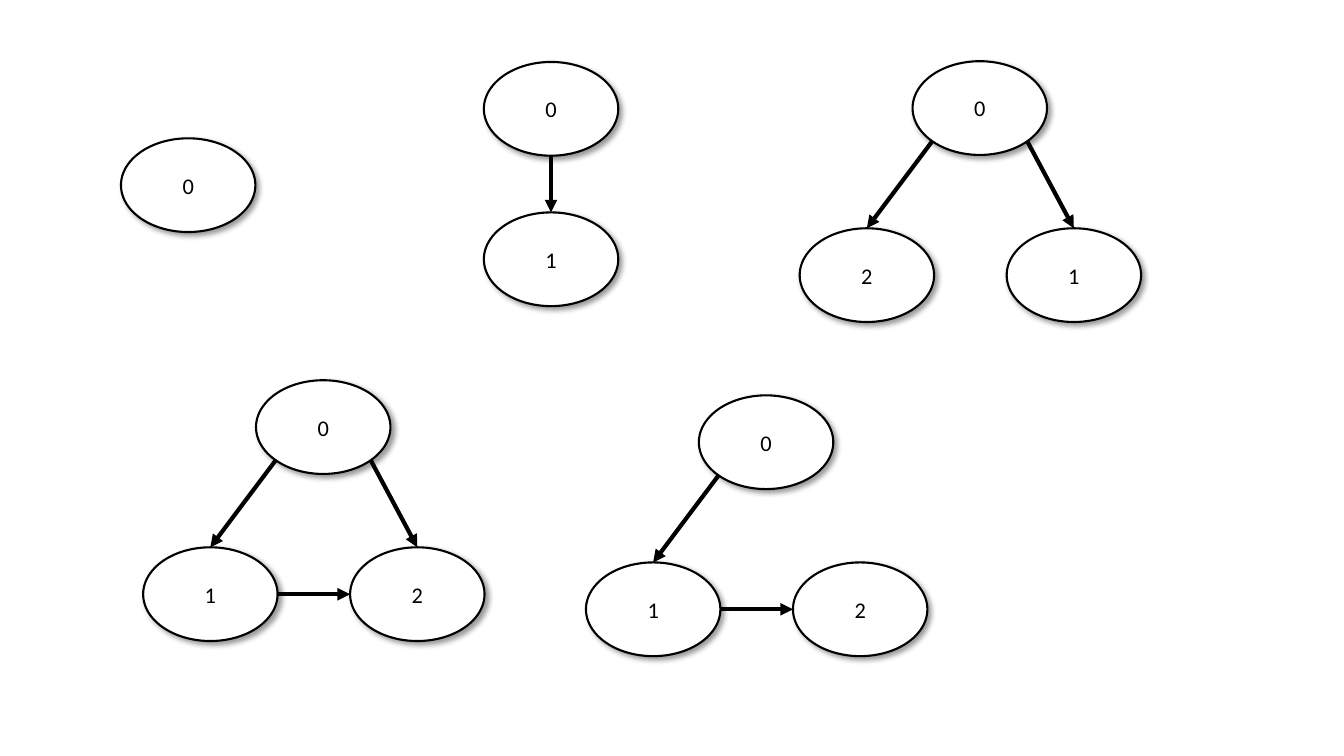
from dataclasses import dataclass
from math import sqrt

from lxml.etree import SubElement
from pptx import Presentation
from pptx.dml.color import RGBColor
from pptx.enum.shapes import MSO_CONNECTOR, MSO_SHAPE
from pptx.enum.text import MSO_ANCHOR, PP_ALIGN
from pptx.oxml.ns import qn
from pptx.util import Inches, Pt


@dataclass(frozen=True)
class Theme:
    ink: RGBColor = RGBColor(0x00, 0x00, 0x00)
    paper: RGBColor = RGBColor(0xFF, 0xFF, 0xFF)
    font: str = "Calibri"
    label_size: Pt = Pt(16)
    outline: Pt = Pt(1.5)
    arrow: Pt = Pt(3)
    shadow_blur: Pt = Pt(4)
    shadow_distance: Pt = Pt(3)
    shadow_angle: int = 45
    shadow_opacity: int = 40


THEME = Theme()
WIDTH, HEIGHT = Inches(13.333), Inches(7.5)
COLUMN, ROW = WIDTH / 100, HEIGHT / 100
NODE_COLUMNS, NODE_ROWS = 10, 12.4

ROOT = (0, 0)
BELOW = (0, 19.9)
LEFT_CHILD = (-8.4, 22.1)
RIGHT_CHILD = (7, 22.1)

DIAGONAL = 1 / sqrt(2)
BOTTOM = (0, 1)
BOTTOM_LEFT = (-DIAGONAL, DIAGONAL)
BOTTOM_RIGHT = (DIAGONAL, DIAGONAL)
LEFT, RIGHT, TOP = (-1, 0), (1, 0), (0, -1)

TO_LEFT_CHILD = ("0", BOTTOM_LEFT, "1", TOP)
ACROSS = ("1", RIGHT, "2", LEFT)

GRAPHS = [
    ((14, 24.5), {"0": ROOT}, []),
    ((41, 14.4), {"0": ROOT, "1": BELOW}, [("0", BOTTOM, "1", TOP)]),
    (
        (72.9, 14.3),
        {"0": ROOT, "2": LEFT_CHILD, "1": RIGHT_CHILD},
        [("0", BOTTOM_LEFT, "2", TOP), ("0", BOTTOM_RIGHT, "1", TOP)],
    ),
    (
        (57, 58.5),
        {"0": ROOT, "1": LEFT_CHILD, "2": RIGHT_CHILD},
        [TO_LEFT_CHILD, ACROSS],
    ),
    (
        (24.05, 56.5),
        {"0": ROOT, "1": LEFT_CHILD, "2": RIGHT_CHILD},
        [TO_LEFT_CHILD, ("0", BOTTOM_RIGHT, "2", TOP), ACROSS],
    ),
]


def add_shadow(node):
    node.shadow.inherit = False
    effects = node._element.spPr.find(qn("a:effectLst"))
    shadow = SubElement(
        effects,
        qn("a:outerShdw"),
        blurRad=str(THEME.shadow_blur),
        dist=str(THEME.shadow_distance),
        dir=str(THEME.shadow_angle * 60000),
        algn="tl",
        rotWithShape="0",
    )
    color = SubElement(shadow, qn("a:srgbClr"), val=str(THEME.ink))
    SubElement(color, qn("a:alpha"), val=str(THEME.shadow_opacity * 1000))


def add_node(slide, label, column, row):
    node = slide.shapes.add_shape(
        MSO_SHAPE.OVAL,
        round((column - NODE_COLUMNS / 2) * COLUMN),
        round((row - NODE_ROWS / 2) * ROW),
        round(NODE_COLUMNS * COLUMN),
        round(NODE_ROWS * ROW),
    )
    node.fill.solid()
    node.fill.fore_color.rgb = THEME.paper
    node.line.color.rgb = THEME.ink
    node.line.width = THEME.outline
    add_shadow(node)
    node.text_frame.vertical_anchor = MSO_ANCHOR.MIDDLE
    paragraph = node.text_frame.paragraphs[0]
    paragraph.alignment = PP_ALIGN.CENTER
    run = paragraph.add_run()
    run.text = label
    run.font.name = THEME.font
    run.font.size = THEME.label_size
    run.font.color.rgb = THEME.ink
    return node


def rim_point(node, direction):
    across, down = direction
    return (
        round(node.left + node.width * (1 + across) / 2),
        round(node.top + node.height * (1 + down) / 2),
    )


def add_arrow(slide, source, exit_side, target, entry_side):
    arrow = slide.shapes.add_connector(
        MSO_CONNECTOR.STRAIGHT,
        *rim_point(source, exit_side),
        *rim_point(target, entry_side),
    )
    if entry_side == TOP:
        arrow.end_connect(target, 0)
    arrow.line.color.rgb = THEME.ink
    arrow.line.width = THEME.arrow
    SubElement(arrow.line._get_or_add_ln(), qn("a:tailEnd"), type="triangle")
    SubElement(arrow._element.spPr, qn("a:effectLst"))


def add_graph(slide, root, offsets, edges):
    nodes = {
        label: add_node(slide, label, root[0] + across, root[1] + down)
        for label, (across, down) in offsets.items()
    }
    for source, exit_side, target, entry_side in edges:
        add_arrow(slide, nodes[source], exit_side, nodes[target], entry_side)


def main():
    deck = Presentation()
    deck.slide_width, deck.slide_height = WIDTH, HEIGHT
    slide = deck.slides.add_slide(deck.slide_layouts[6])
    slide.background.fill.solid()
    slide.background.fill.fore_color.rgb = THEME.paper
    for root, offsets, edges in GRAPHS:
        add_graph(slide, root, offsets, edges)
    deck.save("out.pptx")


if __name__ == "__main__":
    main()
